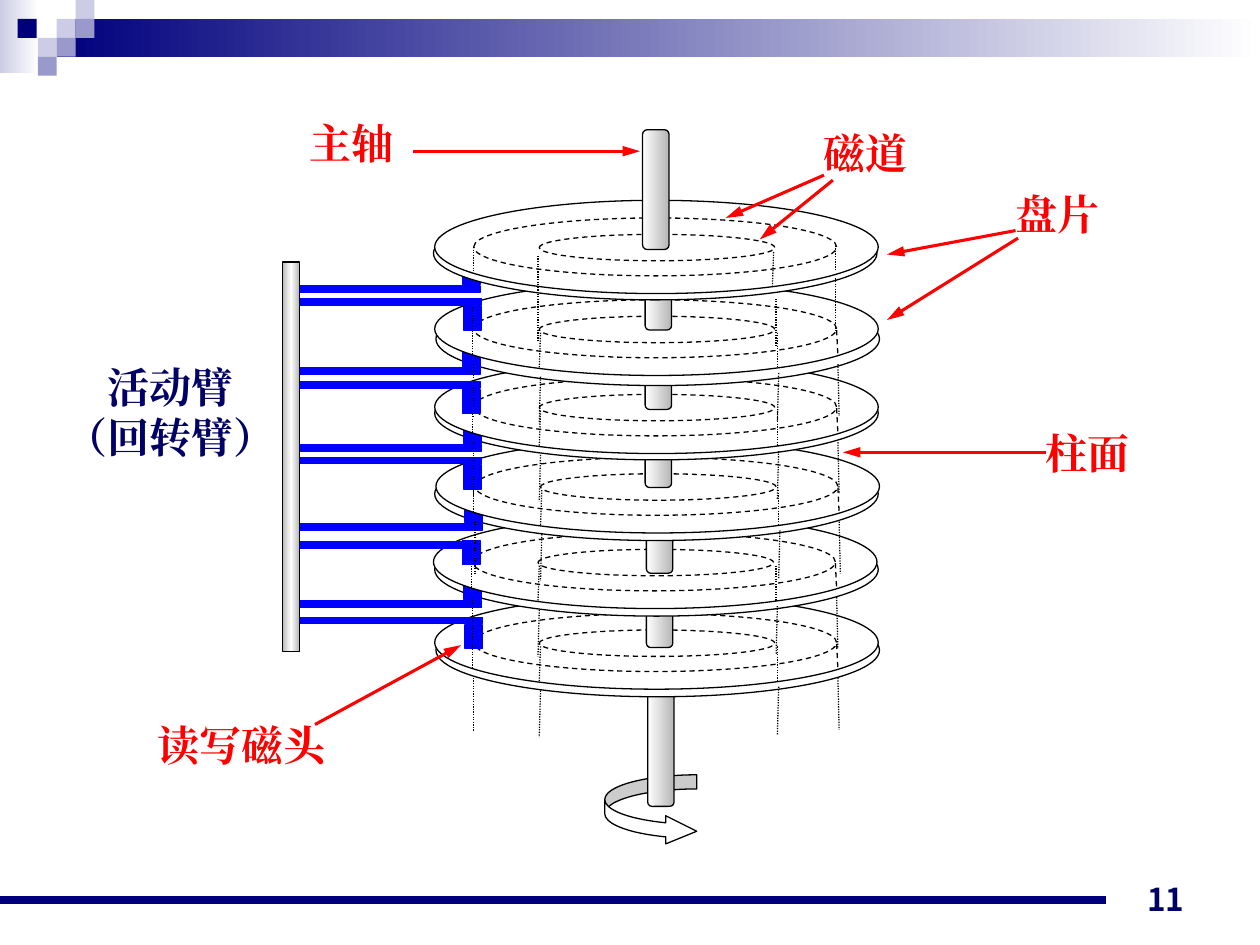
from copy import deepcopy
from dataclasses import dataclass

from lxml import etree
from pptx import Presentation
from pptx.dml.color import RGBColor
from pptx.enum.dml import MSO_LINE
from pptx.enum.shapes import MSO_CONNECTOR, MSO_SHAPE
from pptx.enum.text import MSO_ANCHOR, PP_ALIGN
from pptx.oxml.ns import qn
from pptx.util import Inches, Pt

RECT = MSO_SHAPE.RECTANGLE
ROUNDED = MSO_SHAPE.ROUNDED_RECTANGLE
OVAL = MSO_SHAPE.OVAL
CURVED_ARROW = MSO_SHAPE.CURVED_RIGHT_ARROW
STRAIGHT = MSO_CONNECTOR.STRAIGHT
DASH, DOT = MSO_LINE.DASH, MSO_LINE.ROUND_DOT
TOP, BOTTOM = MSO_ANCHOR.TOP, MSO_ANCHOR.BOTTOM
CENTER, RIGHT, JUSTIFY = PP_ALIGN.CENTER, PP_ALIGN.RIGHT, PP_ALIGN.JUSTIFY


@dataclass(frozen=True)
class Theme:
    navy: str = "00007D"
    ink: str = "000066"
    lavender: str = "CCCCE6"
    violet: str = "9999CC"
    white: str = "FFFFFF"
    black: str = "000000"
    steel: str = "B6B6B6"
    arm: str = "0000FF"
    accent: str = "FF0000"
    label_font: str = "Times New Roman"
    number_font: str = "Noto Sans CJK JP"
    label_size: float = 24
    number_size: float = 18
    thin: float = 0.75
    pointer: float = 1.75
    rule: float = 4.5


class Painter:
    def __init__(self, page, theme):
        self.page, self.theme = page, theme

    def stroke(self, line, color, width, dash=None):
        line.color.rgb = RGBColor.from_string(color)
        line.width = Pt(width)
        if dash:
            line.dash_style = dash

    def gradient(self, shape, colors):
        """Fill left to right with evenly spaced colours."""
        shape.fill.gradient()
        shape.fill.gradient_angle = 0
        stop_list = shape._element.spPr.find(qn("a:gradFill")).find(qn("a:gsLst"))
        while len(stop_list) < len(colors):
            stop_list.append(deepcopy(stop_list[-1]))
        for index, (stop, color) in enumerate(zip(shape.fill.gradient_stops, colors)):
            stop.color.rgb = RGBColor.from_string(color)
            stop.position = index / (len(colors) - 1)

    def shape(self, kind, left, top, width, height, *colors,
              outline=None, dash=None, adjust=()):
        shape = self.page.shapes.add_shape(
            kind, Inches(left), Inches(top), Inches(width), Inches(height))
        shape.shadow.inherit = False
        for index, value in enumerate(adjust):
            shape.adjustments[index] = value
        if len(colors) > 1:
            self.gradient(shape, colors)
        else:
            shape.fill.solid()
            shape.fill.fore_color.rgb = RGBColor.from_string(colors[0])
        if outline:
            self.stroke(shape.line, outline, self.theme.thin, dash)
        else:
            shape.line.fill.background()

    def line(self, start, end, color, width, dash=None, arrow=False):
        line = self.page.shapes.add_connector(
            STRAIGHT, *(Inches(value) for value in (*start, *end)))
        self.stroke(line.line, color, width, dash)
        if arrow:
            etree.SubElement(line.line._get_or_add_ln(), qn("a:tailEnd"),
                             type="triangle", w="med", len="lg")
        etree.SubElement(line._element.spPr, qn("a:effectLst"))

    def text(self, at, lines, align, color, font, size, anchor=TOP):
        box = self.page.shapes.add_textbox(*(Inches(value) for value in at))
        frame = box.text_frame
        frame.word_wrap = True
        frame.vertical_anchor = anchor
        font_format = {"name": font, "size": Pt(size), "bold": True}
        for index, words in enumerate(lines):
            para = frame.add_paragraph() if index else frame.paragraphs[0]
            para.alignment = align
            span = para.add_run()
            span.text = words
            for name, value in font_format.items():
                setattr(span.font, name, value)
            span.font.color.rgb = RGBColor.from_string(color)
            etree.SubElement(span._r.get_or_add_rPr(), qn("a:ea"), typeface=font)

    def label(self, at, *lines, align=JUSTIFY, color=None):
        theme = self.theme
        self.text(at, lines, align, color or theme.accent,
                  theme.label_font, theme.label_size)

    def spindle(self, left, top, height):
        self.shape(ROUNDED, left, top, 0.21, height, self.theme.white,
                   self.theme.steel, outline=self.theme.black, adjust=[0.167])

    def disk(self, left, top, width=3.52, height=0.74, dash=None):
        self.shape(OVAL, left, top, width, height, self.theme.white,
                   outline=self.theme.black, dash=dash)

    def surface(self, left, top):
        """Top face of a platter with its two tracks."""
        self.disk(left, top)
        self.disk(left + 0.31, top + 0.14, 2.88, 0.46, DASH)
        self.disk(left + 0.83, top + 0.27, 1.87, 0.21, DASH)

    def cylinder(self, left, top, edges, first_dash=DOT):
        for index, (x1, y1, x2, y2) in enumerate(edges):
            self.line((left + x1, top + y1), (left + x2, top + y2),
                      self.theme.black, self.theme.thin, DOT if index else first_dash)

    def arm(self, left, top, head_top):
        color = self.theme.arm
        self.shape(RECT, left, top, 1.49, 0.05, color, outline=color)
        self.shape(RECT, left + 1.35, head_top, 0.14, 0.19, color, outline=color)


# Cylinder edges, measured from the top left of a platter's surface
EDGES = [(3.19, 0.38, 3.2, 0.58), (0.3, 0.38, 0.3, 0.58),
         (0.84, 0.4, 0.83, 0.68), (2.72, 0.4, 2.72, 0.68),
         (0.31, 0.65, 0.31, 1.07), (3.2, 0.65, 3.21, 1.06),
         (0.84, 0.75, 0.83, 1.12), (2.73, 0.72, 2.72, 1.1)]
TOP_EDGES = [(3.18, 0.34, 3.18, 0.55), (0.31, 0.37, 0.31, 0.58),
             (0.82, 0.44, 0.82, 0.72), (2.69, 0.41, 2.68, 0.69),
             (0.3, 0.85, 0.3, 1.06), (3.18, 0.62, 3.18, 1.04),
             (0.82, 0.74, 0.82, 1.11), (2.71, 0.78, 2.71, 1.16)]
# Bottom to top: spindle, rim, arm below, surface, arm above (with head top)
PLATTERS = [
    ((5.14, 5.38, 1.02), (3.46, 4.79), None, (3.45, 4.73), (2.34, 4.9, 4.96)),
    ((5.13, 4.58, 0.56), (3.45, 4.15), (2.33, 4.77), (3.44, 4.09), (2.32, 4.3, 4.29)),
    ((5.13, 3.99, 0.56), (3.45, 3.55), (2.34, 4.16), (3.46, 3.49), (2.33, 3.63, 3.69)),
    ((5.12, 3.31, 0.56), (3.45, 2.91), (2.33, 3.53), (3.45, 2.86), (2.32, 3.03, 3.09)),
    ((5.12, 2.69, 0.56), (3.46, 2.32), (2.32, 2.92), (3.45, 2.24), (2.33, 2.37, 2.43)),
]
LABELS = [((2.36, 0.88, 1.14, 0.7), "主轴"), ((7.96, 1.45, 1.14, 0.7), "盘片"),
          ((1.15, 5.66, 1.68, 0.7), "读写磁头"), ((6.44, 0.96, 1.14, 0.7), "磁道"),
          ((8.2, 3.34, 1.13, 0.7), "柱面")]
POINTERS = [((6.54, 1.39), (5.76, 1.73)), ((3.28, 1.2), (5.08, 1.2)),
            ((2.5, 5.75), (3.66, 5.12)), ((6.61, 1.43), (6.03, 1.9)),
            ((8.06, 1.83), (7.04, 2.02)), ((8.08, 1.89), (7.04, 2.54)),
            ((8.3, 3.59), (6.69, 3.59))]


def draw_frame(painter):
    theme = painter.theme
    painter.shape(RECT, 0, 0, 0.31, 0.58, theme.lavender, theme.white)
    painter.shape(RECT, 0.45, 0.15, 9.55, 0.3, theme.navy, theme.white)
    tiles = {theme.lavender: [(0.45, 0.15), (0.6, 0), (0.3, 0.3)],
             theme.violet: [(0.6, 0.15), (0.45, 0.3), (0.3, 0.45)],
             theme.navy: [(0.14, 0.15)]}
    for color, corners in tiles.items():
        for left, top in corners:
            painter.shape(RECT, left, top, 0.15, 0.15, color)
    painter.line((0, 7.14), (8.78, 7.14), theme.navy, theme.rule)
    painter.text((7.17, 6.83, 2.33, 0.5), ["11"], RIGHT, theme.ink,
                 theme.number_font, theme.number_size, BOTTOM)


def draw_disk_pack(painter):
    theme = painter.theme
    painter.shape(CURVED_ARROW, 4.8, 6.15, 0.73, 0.56, theme.white,
                  outline=theme.black, adjust=[0.2, 0.4, 0.439])
    for spindle, rim, arm_below, surface, arm_above in PLATTERS:
        painter.spindle(*spindle)
        painter.disk(*rim)
        if arm_below:
            painter.arm(*arm_below, arm_below[1] - 0.2)
        painter.surface(*surface)
        painter.cylinder(*surface, EDGES, DASH)
        painter.arm(*arm_above)
    painter.spindle(5.12, 2.06, 0.56)
    painter.arm(2.32, 2.27, 2.07)
    painter.disk(3.44, 1.64)
    painter.surface(3.45, 1.59)
    painter.spindle(5.1, 1.03, 0.95)
    painter.cylinder(3.45, 1.59, TOP_EDGES)
    painter.shape(RECT, 2.24, 2.08, 0.14, 3.09, theme.steel, theme.white,
                  theme.steel, outline=theme.black)


def draw_labels(painter):
    theme = painter.theme
    for at, words in LABELS:
        painter.label(at, words)
    painter.label((0.35, 2.82, 2.01, 1.35), "活动臂", "（回转臂）",
                  align=CENTER, color=theme.ink)
    for start, end in POINTERS:
        painter.line(start, end, theme.accent, theme.pointer, arrow=True)


def main():
    deck = Presentation()
    deck.slide_width, deck.slide_height = Inches(10), Inches(7.5)
    painter = Painter(deck.slides.add_slide(deck.slide_layouts[6]), Theme())
    draw_frame(painter)
    draw_disk_pack(painter)
    draw_labels(painter)
    deck.save("out.pptx")


if __name__ == "__main__":
    main()
